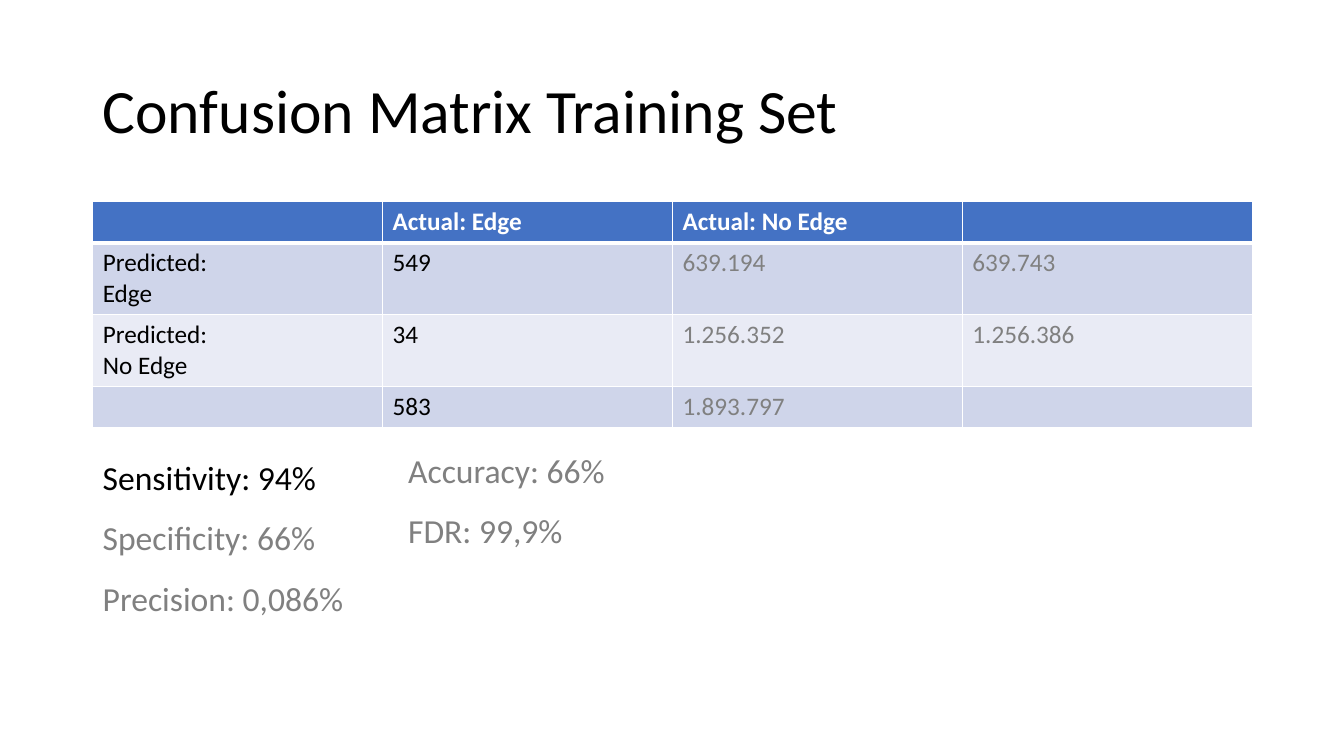
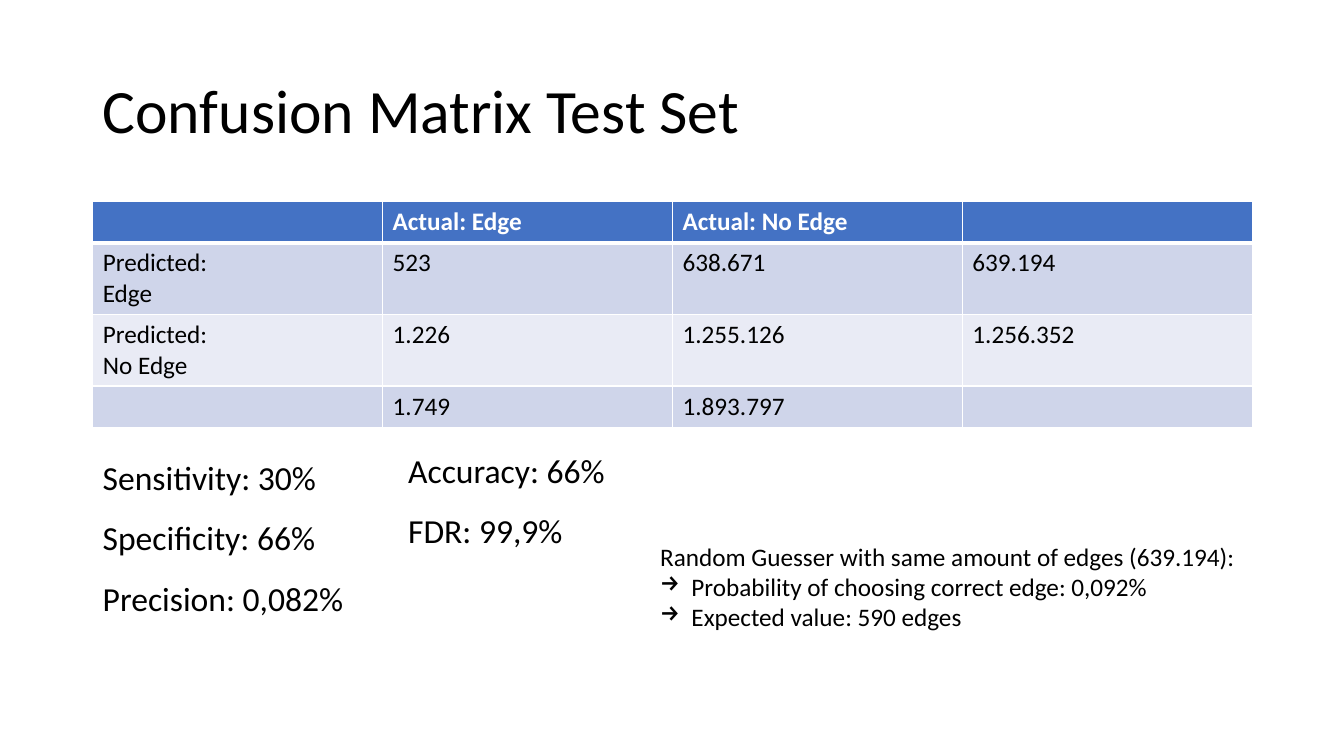
import pptx
import pptx.util
import pptx.dml.color
import pptx.enum.text
import pptx.oxml
import pptx.oxml.ns
import lxml.etree

# Content: muted slides show everything but the edge results in grey
HEAD = ["", "Actual: Edge", "Actual: No Edge", ""]
SIDES = ["Predicted:\nEdge", "Predicted:\nNo Edge", ""]
SLIDES = [
    {
        "title": "Confusion Matrix Training Set",
        "muted": True,
        "counts": [["549", "639.194", "639.743"],
                   ["34", "1.256.352", "1.256.386"],
                   ["583", "1.893.797", ""]],
        "rates": ["Sensitivity: 94%", "Specificity: 66%", "Precision: 0,086%"],
        "scores": ["Accuracy: 66%", "FDR: 99,9%"],
    },
    {
        "title": "Confusion Matrix Test Set",
        "muted": False,
        "counts": [["523", "638.671", "639.194"],
                   ["1.226", "1.255.126", "1.256.352"],
                   ["1.749", "1.893.797", ""]],
        "rates": ["Sensitivity: 30%", "Specificity: 66%", "Precision: 0,082%"],
        "scores": ["Accuracy: 66%", "FDR: 99,9%"],
        "note": ["Random Guesser with same amount of edges (639.194):",
                 "Probability of choosing correct edge: 0,092%",
                 "Expected value: 590 edges"],
    },
]

# Shared style, lengths in inches
FONT = "Calibri"
BLACK, GREY, WHITE = "000000", "808080", "FFFFFF"
BLUE, BANDS = "4472C4", ["CFD5EA", "E9EBF5"]
WIDE, HIGH = 13.33, 7.5
LEFT, SPAN = 0.92, 11.5
ROWS = [0.41, 0.71, 0.71, 0.41]
INDENT = 0.31

Inches, Pt = pptx.util.Inches, pptx.util.Pt
Size = pptx.enum.text.MSO_AUTO_SIZE
Anchor = pptx.enum.text.MSO_ANCHOR


def color(code):
    return pptx.dml.color.RGBColor.from_string(code)


def write(frame, lines, size, tints, bold=False, lead=None):
    """Put one line of text in each paragraph, tinted line by line."""
    for i, (line, tint) in enumerate(zip(lines, tints)):
        para = frame.paragraphs[0] if i == 0 else frame.add_paragraph()
        if lead:
            para.line_spacing = lead
        run = para.add_run()
        run.text = line
        font = run.font
        font.name, font.size, font.bold = FONT, Pt(size), bold
        font.color.rgb = color(tint)


def box(slide, place, lines, size, tints, lead=None, wrap=True, fit=True):
    frame = slide.shapes.add_textbox(*map(Inches, place)).text_frame
    frame.word_wrap = wrap
    frame.auto_size = Size.SHAPE_TO_FIT_TEXT if fit else Size.NONE
    write(frame, lines, size, tints, lead=lead)
    return frame


def arrow(para):
    """Give a paragraph a hanging arrow bullet."""
    props = para._p.get_or_add_pPr()
    props.set("marL", str(Inches(INDENT)))
    props.set("indent", str(-Inches(INDENT)))
    mark = lxml.etree.SubElement(props, pptx.oxml.ns.qn("a:buChar"))
    mark.set("char", "→")


def border(cell, widths):
    """Draw white cell borders; widths go left, right, top, bottom."""
    props = cell._tc.get_or_add_tcPr()
    for i, (side, width) in enumerate(zip("LRTB", widths)):
        line = pptx.oxml.parse_xml(
            f'<a:ln{side} {pptx.oxml.ns.nsdecls("a")} w="{Pt(width)}">'
            f'<a:solidFill><a:srgbClr val="{WHITE}"/></a:solidFill></a:ln{side}>')
        props.insert(i, line)


def matrix(slide, counts, muted):
    grid = [HEAD] + [[side] + row for side, row in zip(SIDES, counts)]
    place = map(Inches, (LEFT, 2, SPAN, sum(ROWS)))
    table = slide.shapes.add_table(len(grid), len(HEAD), *place).table
    for col in table.columns:
        col.width = Inches(SPAN / len(HEAD))
    for r, row in enumerate(grid):
        table.rows[r].height = Inches(ROWS[r])
        for c, text in enumerate(row):
            cell = table.cell(r, c)
            cell.fill.solid()
            cell.fill.fore_color.rgb = color(BANDS[(r - 1) % 2] if r else BLUE)
            border(cell, (1, 1, 3 if r == 1 else 1, 1 if r else 3))
            tint = WHITE if r == 0 else GREY if muted and c > 1 else BLACK
            if text:
                lines = text.split("\n")
                write(cell.text_frame, lines, 18, [tint] * len(lines), bold=r == 0)


def build(deck, data):
    slide = deck.slides.add_slide(deck.slide_layouts[6])
    soft = GREY if data["muted"] else BLACK
    # Title and table
    title = box(slide, (LEFT, 0.4, SPAN, 1.45), [data["title"]], 44, [BLACK],
                lead=0.9, fit=False)
    title.vertical_anchor = Anchor.MIDDLE
    matrix(slide, data["counts"], data["muted"])
    # Measures below the table
    box(slide, (LEFT, 4.28, 5.21, 2.22), data["rates"], 24,
        [BLACK, soft, soft], lead=1.5)
    box(slide, (3.95, 4.21, 2.17, 1.62), data["scores"], 24,
        [soft, soft], lead=1.5, wrap=False)
    # Remark with arrows
    if "note" in data:
        note = box(slide, (6.45, 5.32, 5.97, 1.01), data["note"], 18,
                   [BLACK] * len(data["note"]), wrap=False)
        for para in note.paragraphs[1:]:
            arrow(para)


def main():
    deck = pptx.Presentation()
    deck.slide_width, deck.slide_height = Inches(WIDE), Inches(HIGH)
    for data in SLIDES:
        build(deck, data)
    deck.save("out.pptx")


if __name__ == "__main__":
    main()
